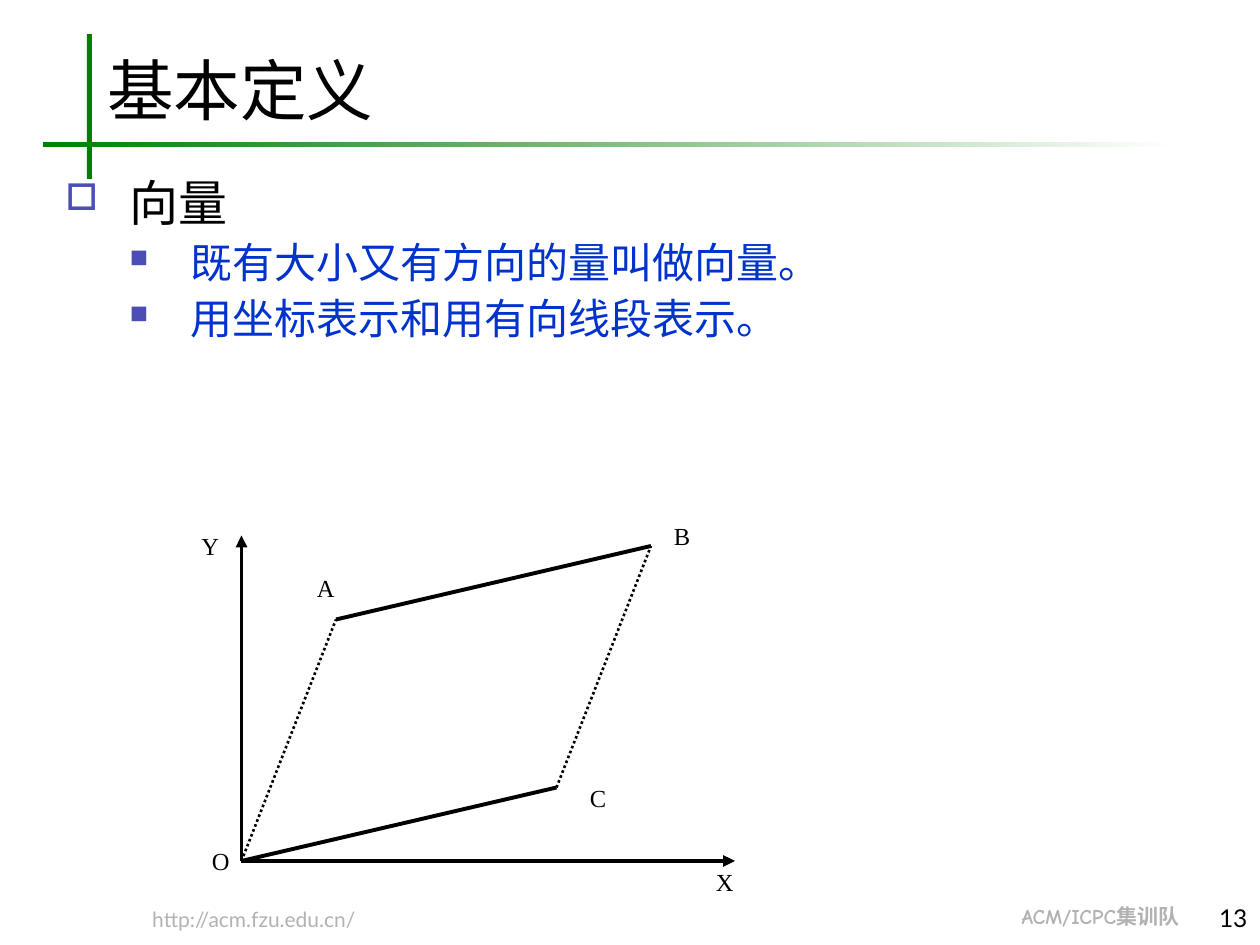
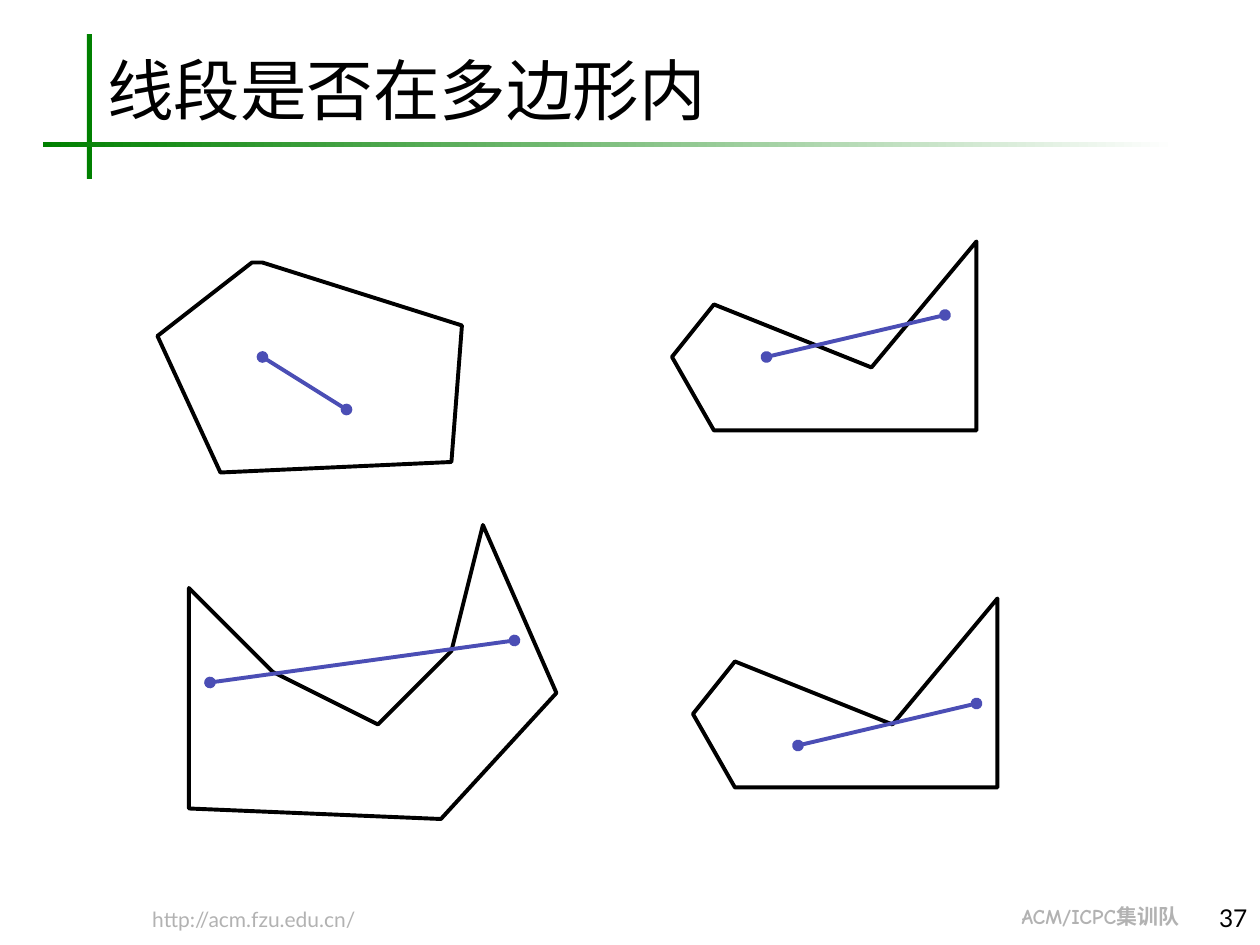
from dataclasses import dataclass

import pptx
import pptx.dml.color
import pptx.enum.dml
import pptx.enum.shapes
import pptx.enum.text
import pptx.oxml.ns
import pptx.oxml.xmlchemy
import pptx.util
from lxml import etree

# Colours and fonts
BLACK = pptx.dml.color.RGBColor(0x00, 0x00, 0x00)
WHITE = pptx.dml.color.RGBColor(0xFF, 0xFF, 0xFF)
GREEN = pptx.dml.color.RGBColor(0x00, 0x80, 0x00)
GREY = pptx.dml.color.RGBColor(0xB2, 0xB2, 0xB2)
BLUE = pptx.dml.color.RGBColor(0x00, 0x33, 0xCC)
VIOLET = pptx.dml.color.RGBColor(0x4B, 0x4E, 0xB5)
SERIF, SANS, COMIC = "Times New Roman", "Lato", "Comic Neue"

ALIGN = pptx.enum.text.PP_ALIGN
ANCHOR = pptx.enum.text.MSO_ANCHOR
DOTS = pptx.enum.dml.MSO_LINE.ROUND_DOT

# Drawings lie on a grid of twelve steps to the inch
STEP = pptx.util.Inches(1 / 12)
Point = tuple[int, int]


@dataclass
class Item:
    text: str
    level: int
    size: int
    color: pptx.dml.color.RGBColor
    mark: str
    scale: int  # bullet size in percent
    left: float
    hang: float
    before: float


@dataclass
class Line:
    start: Point
    end: Point
    color: pptx.dml.color.RGBColor = BLACK
    width: float = 2.25
    head: str = ""
    tail: str = ""
    dash: object = None


@dataclass
class Case:
    corners: list[Point]
    start: Point
    end: Point
    shift: Point = (0, 0)


# Slide contents
ITEMS = [
    Item("向量", 0, 28, BLACK, "□", 75, 0.51, 0.51, 0),
    *(Item(text, 1, 24, BLUE, "■", 60, 0.99, 0.48, 3)
      for text in ("既有大小又有方向的量叫做向量。", "用坐标表示和用有向线段表示。")),
]
O, A, B, C = (23, 82), (32, 59), (62, 52), (53, 75)
LINES = [
    Line(O, (23, 51), tail="triangle"),
    Line(O, (70, 82), tail="triangle"),
    Line(O, A, width=1.5, dash=DOTS),
    Line(O, C),
    Line(A, B),
    Line(C, B, width=1.5, dash=DOTS),
]
LABELS = {"Y": (18, 51), "X": (67, 83), "O": (19, 81),
          "A": (29, 55), "B": (63, 50), "C": (55, 75)}

CONVEX = [(24, 25), (15, 32), (21, 45), (43, 44), (44, 31), (25, 25)]
NOTCH = [(4, 6), (0, 11), (4, 18), (29, 18), (29, 0), (19, 12)]
VALLEY = [(18, 56), (18, 77), (42, 78), (53, 66), (46, 50), (43, 62),
          (36, 69), (26, 64)]
CASES = [
    Case(CONVEX, (25, 34), (33, 39)),
    Case(NOTCH, (73, 34), (90, 30), shift=(64, 23)),
    Case(VALLEY, (20, 65), (49, 61)),
    Case(NOTCH, (76, 71), (93, 67), shift=(66, 57)),
]


def add_xml(parent, tag: str, **attrs: str):
    return etree.SubElement(parent, pptx.oxml.ns.qn(tag), attrs)


def put_text(para, text: str, *, size: float, font: str = SERIF,
             color=BLACK, bold: bool = False, align=ALIGN.LEFT,
             space: float = 1, before: float = 0) -> None:
    para.alignment = align
    para.line_spacing = space
    para.space_before = pptx.util.Pt(before)
    run = para.add_run()
    run.text = text
    run.font.size = pptx.util.Pt(size)
    run.font.name = font
    run.font.bold = bold
    run.font.color.rgb = color


def set_frame(shape, anchor=ANCHOR.TOP, pad: float = 0.05):
    frame = shape.text_frame
    frame.word_wrap = True
    frame.auto_size = pptx.enum.text.MSO_AUTO_SIZE.NONE
    frame.vertical_anchor = anchor
    frame.margin_left = frame.margin_right = pptx.util.Inches(0.1)
    frame.margin_top = frame.margin_bottom = pptx.util.Inches(pad)
    return frame


def add_box(slide, left: float, top: float, width: float, height: float,
            anchor=ANCHOR.TOP, pad: float = 0.01):
    box = slide.shapes.add_textbox(*map(pptx.util.Inches, (left, top, width, height)))
    return set_frame(box, anchor, pad)


def add_bar(slide, left: float, top: float, width: float, height: float):
    bar = slide.shapes.add_shape(
        pptx.enum.shapes.MSO_SHAPE.RECTANGLE,
        *map(pptx.util.Inches, (left, top, width, height)))
    bar.shadow.inherit = False
    bar.line.fill.background()
    return bar.fill


def add_line(slide, line: Line) -> None:
    shape = slide.shapes.add_connector(
        pptx.enum.shapes.MSO_CONNECTOR.STRAIGHT,
        *(STEP * n for n in line.start + line.end))
    shape.line.color.rgb = line.color
    shape.line.width = pptx.util.Pt(line.width)
    if line.dash:
        shape.line.dash_style = line.dash
    props = shape.element.spPr
    stroke = props.find(pptx.oxml.ns.qn("a:ln"))
    for tag, kind in (("a:headEnd", line.head), ("a:tailEnd", line.tail)):
        if kind:
            add_xml(stroke, tag, type=kind)
    add_xml(props, "a:effectLst")


def add_case(slide, case: Case) -> None:
    dx, dy = case.shift
    first, *rest = [(x + dx, y + dy) for x, y in case.corners]
    pen = slide.shapes.build_freeform(*first, scale=STEP)
    pen.add_line_segments(rest, close=True)
    shape = pen.convert_to_shape()
    shape.shadow.inherit = False
    shape.fill.background()
    shape.line.color.rgb = BLACK
    shape.line.width = pptx.util.Pt(2.25)
    add_line(slide, Line(case.start, case.end, VIOLET, head="oval", tail="oval"))


def add_item(para, item: Item) -> None:
    para.level = item.level
    props = para._p.get_or_add_pPr()
    props.set("marL", str(pptx.util.Inches(item.left)))
    props.set("indent", str(-pptx.util.Inches(item.hang)))
    add_xml(add_xml(props, "a:buClr"), "a:srgbClr", val=str(VIOLET))
    add_xml(props, "a:buSzPct", val=str(item.scale * 1000))
    add_xml(props, "a:buChar", char=item.mark)
    put_text(para, item.text, size=item.size, color=item.color,
             before=item.before)


def add_slide(deck, title: str, number: int):
    slide = deck.slides.add_slide(deck.slide_layouts[5])

    # Crossed bars
    upright = add_bar(slide, 0.69, 0.27, 0.04, 1.15)
    upright.solid()
    upright.fore_color.rgb = GREEN
    fade = add_bar(slide, 0.34, 1.13, 9, 0.04)
    fade.gradient()
    fade.gradient_angle = 0
    for stop, color in zip(fade.gradient_stops, (GREEN, WHITE)):
        stop.color.rgb = color

    # Title
    head = slide.shapes.title
    head.left, head.top, head.width, head.height = map(
        pptx.util.Inches, (0.75, 0.33, 8.92, 0.74))
    put_text(set_frame(head, ANCHOR.BOTTOM).paragraphs[0], title, size=38)

    # Footer
    site = add_box(slide, 1.11, 7.22, 2.58, 0.18)
    put_text(site.paragraphs[0], "http://acm.fzu.edu.cn/", size=12,
             font=SANS, color=GREY, space=0.8)
    team = add_box(slide, 8.01, 7.2, 1.67, 0.18)
    put_text(team.paragraphs[0], "ACM/ICPC集训队", size=12, font=COMIC,
             color=GREY, bold=True, space=0.8)
    page = add_box(slide, 9.33, 7.12, 0.67, 0.33, ANCHOR.BOTTOM, 0.05)
    put_text(page.paragraphs[0], str(number), size=14, font=SANS,
             align=ALIGN.RIGHT)
    return slide


def main() -> None:
    deck = pptx.Presentation()
    deck.slide_width = pptx.util.Inches(10)
    deck.slide_height = pptx.util.Inches(7.5)

    # Vectors: definition and parallelogram
    slide = add_slide(deck, "基本定义", 13)
    body = add_box(slide, 0.42, 1.32, 9.25, 5.68, pad=0.05)
    for i, item in enumerate(ITEMS):
        add_item(body.add_paragraph() if i else body.paragraphs[0], item)
    for line in LINES:
        add_line(slide, line)
    for name, (x, y) in LABELS.items():
        label = add_box(slide, x / 12, y / 12, 0.25, 0.21)
        put_text(label.paragraphs[0], name, size=14, space=0.8)

    # Segments against polygons
    slide = add_slide(deck, "线段是否在多边形内", 37)
    for case in CASES:
        add_case(slide, case)

    deck.save("out.pptx")


if __name__ == "__main__":
    main()
